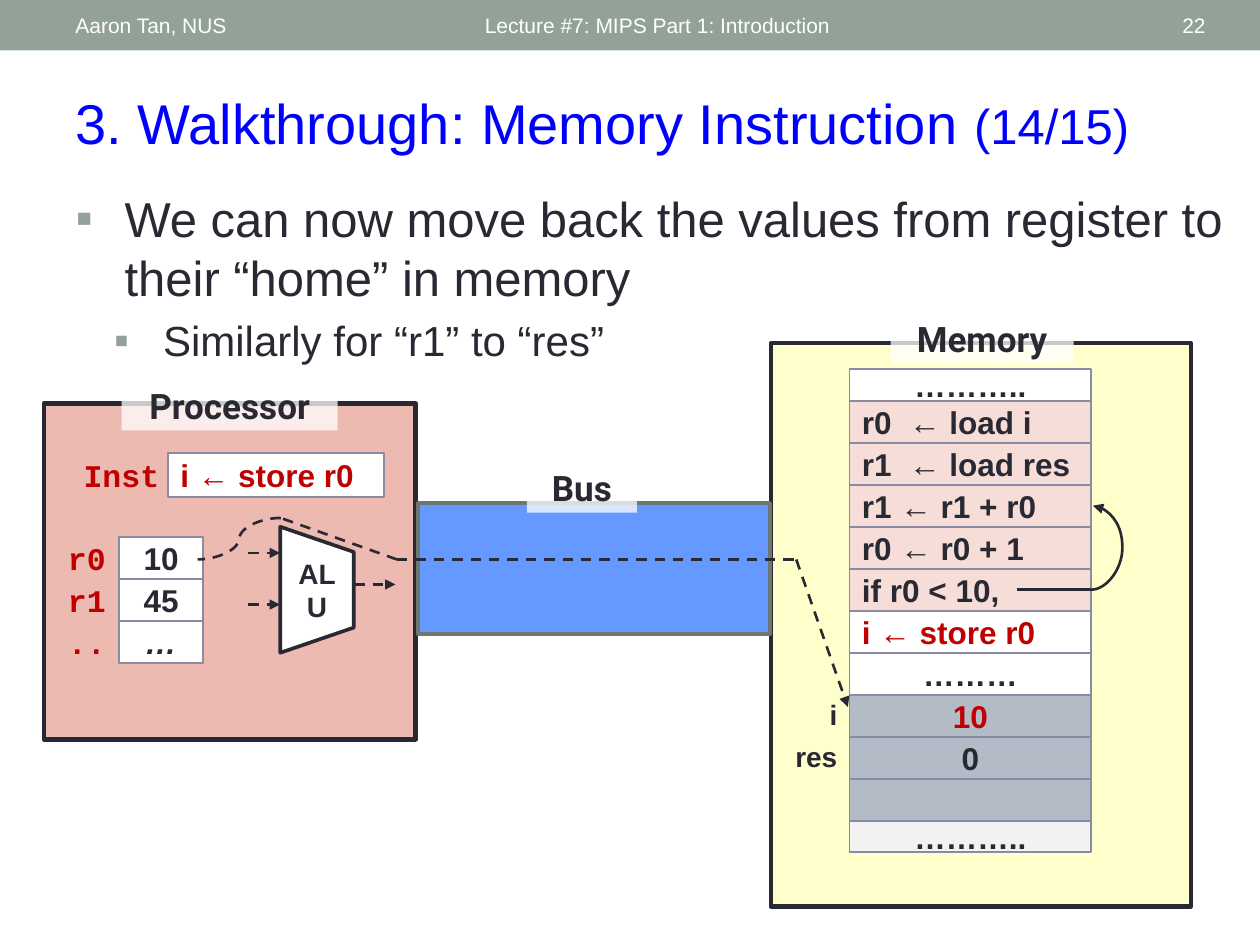
from lxml import etree
from pptx import Presentation
from pptx.dml.color import RGBColor
from pptx.enum.dml import MSO_LINE
from pptx.enum.shapes import MSO_CONNECTOR as CONN, MSO_SHAPE as SHAPE
from pptx.enum.text import MSO_ANCHOR as ANCHOR, MSO_AUTO_SIZE as AUTO, PP_ALIGN as ALIGN
from pptx.oxml.ns import qn
from pptx.util import Pt

INK, RED, WHITE, SAGE = "292934", "C00000", "FFFFFF", "93A299"
PINK, SLATE, EDGE = "F6DDD8", "B3BBC6", "8A8AA3"
L, C, R = ALIGN.LEFT, ALIGN.CENTER, ALIGN.RIGHT


def rgb(hex_color):
    return RGBColor.from_string(hex_color)


def sub(parent, tag, **attrs):
    return etree.SubElement(parent, qn(tag), **attrs)


def add_run(p, text, size=18, color=INK, font="Arial", bold=False, italic=False):
    r = p.add_run()
    r.text = text
    r.font.size, r.font.name = Pt(size), font
    r.font.bold, r.font.italic = bold, italic
    r.font.color.rgb = rgb(color)


class Board:
    """Holds the diagram style and draws on the current slide."""

    def __init__(self, slide):
        self.s = slide
        self.line_width = 1.5

    def place(self, sp, x, y, w, h):
        sp.left, sp.top, sp.width, sp.height = Pt(x), Pt(y), Pt(w), Pt(h)
        return sp

    def fill_text(self, sp, text, align=L, anchor=ANCHOR.MIDDLE, **fmt):
        tf = sp.text_frame
        tf.word_wrap, tf.vertical_anchor = True, anchor
        p = tf.paragraphs[0]
        p.alignment = align
        add_run(p, text, **fmt)
        return tf

    def text(self, x, y, w, h, text, **fmt):
        sp = self.s.shapes.add_textbox(Pt(x), Pt(y), Pt(w), Pt(h))
        return self.fill_text(sp, text, **fmt)

    def box(self, x, y, w, h, fill, line=None, width=1, kind=SHAPE.RECTANGLE):
        sp = self.s.shapes.add_shape(kind, Pt(x), Pt(y), Pt(w), Pt(h))
        sp.shadow.inherit = False
        sp.fill.solid()
        sp.fill.fore_color.rgb = rgb(fill)
        if line:
            sp.line.color.rgb = rgb(line)
            sp.line.width = Pt(width)
        else:
            sp.line.fill.background()
        return sp

    def cell(self, x, y, w, h, text, fill=WHITE, **fmt):
        sp = self.box(x, y, w, h, fill, EDGE)
        if text:
            self.fill_text(sp, text, bold=True, **fmt)

    def caption(self, x, y, w, text):
        """Bold heading on a translucent white strip."""
        sp = self.box(x, y, w, 24.5, WHITE)
        solid = sp._element.spPr.find(qn("a:solidFill"))
        sub(solid.find(qn("a:srgbClr")), "a:alpha", val="75000")
        tf = self.fill_text(sp, text, align=C, anchor=ANCHOR.TOP,
                            size=20, font="Roboto", bold=True)
        tf.margin_left = tf.margin_right = Pt(5)
        tf.margin_top = tf.margin_bottom = Pt(2)
        tf.paragraphs[0].line_spacing = 0.85

    def connect(self, x1, y1, x2, y2, dash=True, arrow=False, bend=None):
        """Line, or a curve when bend gives its middle as a share of the width."""
        kind = CONN.STRAIGHT if bend is None else CONN.CURVE
        cn = self.s.shapes.add_connector(kind, Pt(x1), Pt(y1), Pt(x2), Pt(y2))
        cn.line.color.rgb = rgb(INK)
        cn.line.width = Pt(self.line_width)
        if dash:
            cn.line.dash_style = MSO_LINE.DASH
        sp_pr = cn._element.spPr
        if arrow:
            sub(sp_pr.find(qn("a:ln")), "a:tailEnd", type="triangle")
        sub(sp_pr, "a:effectLst")
        if bend is not None:
            guides = sp_pr.find(qn("a:prstGeom")).find(qn("a:avLst"))
            sub(guides, "a:gd", name="adj1", fmla=f"val {round(bend * 100000)}")

    def title(self, main, count):
        sp = self.place(self.s.shapes.title, 36, 47, 660, 46)
        tf = self.fill_text(sp, main, anchor=ANCHOR.TOP, size=32, color="0000FF")
        tf.auto_size = AUTO.NONE
        add_run(tf.paragraphs[0], count, size=28, color="0000FF")

    def bullets(self, items):
        tf = self.place(self.s.placeholders[1], 36, 104, 676, 102).text_frame
        tf.auto_size = AUTO.NONE
        for i, (level, indent, size, text) in enumerate(items):
            p = tf.add_paragraph() if i else tf.paragraphs[0]
            p.level = level
            pr = p._p.get_or_add_pPr()
            pr.set("marL", str(Pt(indent)))
            pr.set("indent", str(-Pt(28)))
            sub(sub(pr, "a:buClr"), "a:srgbClr", val=SAGE)
            sub(pr, "a:buFont", typeface="Arial")
            sub(pr, "a:buChar", char="▪")
            p.space_before = Pt(size * 0.2 if i else 0)
            add_run(p, text, size=size)


def draw_header(b):
    b.box(0, 0, 720, 28.8, SAGE)
    for x, w, text, align in ((36, 228, "Aaron Tan, NUS", L),
                              (270, 324, "Lecture #7: MIPS Part 1: Introduction", L),
                              (628, 68, "22", R)):
        b.text(x, 1.5, w, 26, text, align=align, size=12, color=WHITE)


def draw_processor(b):
    b.box(25, 230.5, 212.5, 192, "EDBAB1", INK, 2.5)
    b.caption(69.5, 221.5, 123.5, "Processor")
    label = dict(align=R, color=RED, font="Courier New", bold=True)
    b.text(38, 259.5, 60, 24, "Inst", **label)
    b.cell(96, 259, 123.5, 25, "i ← store r0", color=RED)
    for i, (name, value) in enumerate((("r0", "10"), ("r1", "45"), ("..", "…"))):
        y = 307 + 24 * i
        b.text(31.5, y, 36, 24, name, **label)
        b.cell(68, y, 48, 24, value, align=C, italic=value == "…")

    alu = b.box(145.2, 316, 72, 42, WHITE, INK, 2.08, SHAPE.FLOWCHART_MANUAL_OPERATION)
    alu.rotation = 270
    tf = b.fill_text(alu, "ALU", align=C, size=16, bold=True)
    tf._txBody.bodyPr.set("vert", "vert")
    for x1, x2, y in ((142, 160, 345.5), (142, 160, 316), (202.5, 226, 334)):
        b.connect(x1, y, x2, y, arrow=True)


def draw_memory(b):
    b.box(440.5, 196, 240, 322, "FFFFCC", INK, 2.5)
    b.caption(509, 183, 104.5, "Memory")
    x, top, w, row = 485.5, 229, 138, 24
    rows = (("r0  ← load i", PINK, L, INK), ("r1  ← load res", PINK, L, INK),
            ("r1 ← r1 + r0", PINK, L, INK), ("r0 ← r0 + 1", PINK, L, INK),
            ("if r0 < 10,", PINK, L, INK), ("i ← store r0", WHITE, L, RED),
            ("………", WHITE, C, INK), ("10", SLATE, C, RED),
            ("0", SLATE, C, INK), ("", SLATE, C, INK))
    b.cell(x, top - 18, w, 18, "………..", align=C)
    for i, (text, fill, align, color) in enumerate(rows):
        b.cell(x, top + row * i, w, row, text, fill, align=align, color=color)
    b.cell(x, top + row * len(rows), w, 18, "………..", "F2F2F2", align=C)
    for i, name in enumerate(("i", "res")):
        b.text(443.5, 396 + row * i, 42, row, name, align=R, size=16, bold=True)
    b.connect(581, 337, 623.5, 337, dash=False)
    b.connect(623.5, 337, 624.5, 289, dash=False, arrow=True, bend=18)


def draw_bus(b):
    b.box(239, 287.5, 201, 75, "6699FF", "6D7871", 2.08)
    b.caption(301, 268.5, 63, "Bus")


def draw_store_path(b):
    b.connect(160.5, 296, 113, 319.7, bend=0.5)
    b.connect(226.8, 319.7, 160.5, 296)
    b.connect(226.8, 319.7, 455, 319.7)
    b.connect(455, 319.7, 484.5, 404, arrow=True)


def main():
    prs = Presentation()
    prs.slide_width, prs.slide_height = Pt(720), Pt(540)
    b = Board(prs.slides.add_slide(prs.slide_layouts[1]))
    draw_header(b)
    b.title("3. Walkthrough: Memory Instruction ", "(14/15)")
    b.bullets(((0, 28, 28, "We can now move back the values from register to their “home” in memory"),
               (1, 50, 24, "Similarly for “r1” to “res”")))
    draw_processor(b)
    draw_memory(b)
    draw_bus(b)
    draw_store_path(b)
    prs.save("out.pptx")


if __name__ == "__main__":
    main()
